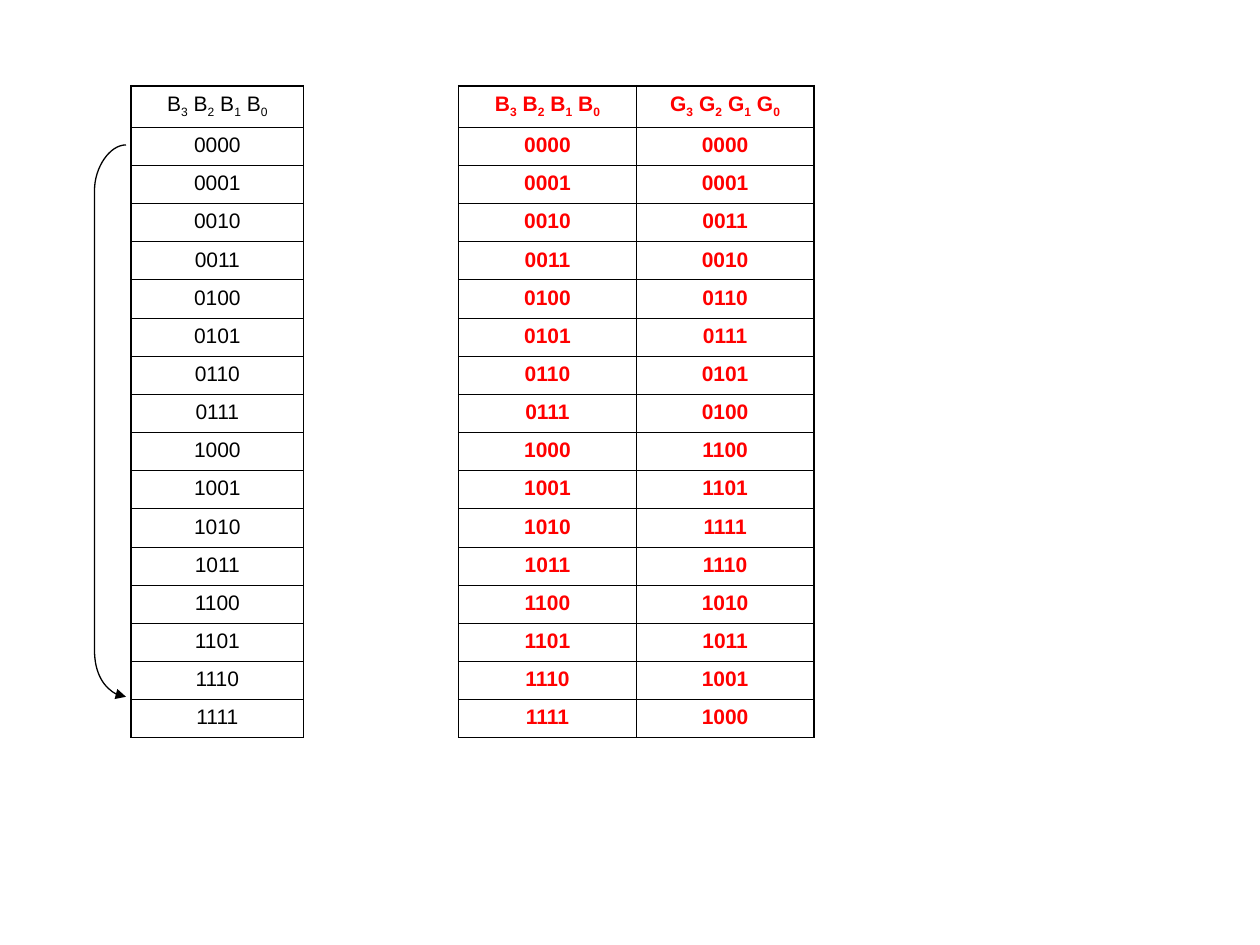
"""Build a slide with a binary table, a binary to Gray code table and a loop arrow."""
from dataclasses import dataclass

from lxml import etree
from pptx import Presentation
from pptx.dml.color import RGBColor
from pptx.enum.text import PP_ALIGN
from pptx.oxml.ns import qn
from pptx.util import Inches, Pt

CENTER = PP_ALIGN.CENTER
BINARY = [f"{number:04b}" for number in range(16)]
GRAY = [f"{number ^ number >> 1:04b}" for number in range(16)]


@dataclass(frozen=True)
class Theme:
    font: str = "Arial"
    size: float = 12
    space_before: float = 3
    black: str = "000000"
    red: str = "FF0000"
    thick: float = 1.08
    thin: float = 0.45
    arrow: float = 0.75


THEME = Theme()
TABLES = [
    {"left": 1.04, "column_width": 1.37, "columns": [("B", BINARY)],
     "color": THEME.black, "bold": False, "right_edge": THEME.thin},
    {"left": 3.64, "column_width": 1.41, "columns": [("B", BINARY), ("G", GRAY)],
     "color": THEME.red, "bold": True, "right_edge": THEME.thick},
]
TOP, HEIGHT, HEADER_HEIGHT = 0.68, 5.18, 0.33
ARROW_START = (1, 1.15)
ARROW_POINTS = [(0.87, 1.15), (0.75, 1.33), (0.75, 1.51), (0.75, 5.16),
                (0.75, 5.35), (0.87, 5.53), (1, 5.53)]
ARROW_CURVES = (0, 4)


def header_parts(letter):
    """Return (text, is_subscript) pairs for bits 3 to 0."""
    parts = []
    for bit in (3, 2, 1, 0):
        parts += [(letter if bit == 3 else f" {letter}", False), (str(bit), True)]
    return parts


def write_text(paragraph, parts, *, color, bold):
    """Write centred runs into a paragraph."""
    paragraph.alignment = CENTER
    paragraph.space_before = Pt(THEME.space_before)
    for text, subscript in parts:
        run = paragraph.add_run()
        run.text = text
        run.font.name = THEME.font
        run.font.size = Pt(THEME.size)
        run.font.bold = bold
        run.font.color.rgb = RGBColor.from_string(color)
        if subscript:
            run._r.get_or_add_rPr().set("baseline", "-25000")


def set_borders(cell, widths):
    """Draw the four cell edges, given as widths by side."""
    properties = cell._tc.get_or_add_tcPr()
    for side in "LRTB":
        line = etree.SubElement(properties, qn(f"a:ln{side}"), w=str(int(Pt(widths[side]))))
        fill = etree.SubElement(line, qn("a:solidFill"))
        etree.SubElement(fill, qn("a:srgbClr"), val=THEME.black)


def add_code_table(slide, left, column_width, columns, color, bold, right_edge):
    """Add one table of code columns under subscripted headers."""
    row_count, column_count = len(BINARY) + 1, len(columns)
    table = slide.shapes.add_table(
        row_count, column_count, Inches(left), Inches(TOP),
        Inches(column_width * column_count), Inches(HEIGHT)).table
    table.first_row = table.horz_banding = False
    row_height = (HEIGHT - HEADER_HEIGHT) / len(BINARY)
    for index, row in enumerate(table.rows):
        row.height = Inches(row_height if index else HEADER_HEIGHT)
    for column_index, (letter, codes) in enumerate(columns):
        table.columns[column_index].width = Inches(column_width)
        contents = [header_parts(letter)] + [[(code, False)] for code in codes]
        for row_index, parts in enumerate(contents):
            cell = table.cell(row_index, column_index)
            write_text(cell.text_frame.paragraphs[0], parts, color=color, bold=bold)
            set_borders(cell, {
                "L": THEME.thin if column_index else THEME.thick,
                "R": right_edge if column_index == column_count - 1 else THEME.thin,
                "T": THEME.thin if row_index else THEME.thick,
                "B": THEME.thick if row_index == row_count - 1 else THEME.thin,
            })
            cell.fill.background()


def add_loop_arrow(slide):
    """Add the rounded arrow from the first code to the last."""
    builder = slide.shapes.build_freeform(*map(Inches, ARROW_START))
    builder.add_line_segments(
        [(Inches(x), Inches(y)) for x, y in ARROW_POINTS], close=False)
    shape = builder.convert_to_shape()
    shape.shadow.inherit = False
    shape.fill.background()
    shape.line.width = Pt(THEME.arrow)
    shape.line.color.rgb = RGBColor.from_string(THEME.black)
    segments = list(shape._element.iter(qn("a:lnTo")))
    for start in ARROW_CURVES:
        first, *others = segments[start:start + 3]
        first.tag = qn("a:cubicBezTo")
        for segment in others:
            first.append(segment[0])
            segment.getparent().remove(segment)
    etree.SubElement(shape.line._get_or_add_ln(), qn("a:tailEnd"), type="triangle")


def main():
    presentation = Presentation()
    presentation.slide_width, presentation.slide_height = Inches(10), Inches(7.5)
    slide = presentation.slides.add_slide(presentation.slide_layouts[6])
    for table in TABLES:
        add_code_table(slide, **table)
    add_loop_arrow(slide)
    presentation.save("out.pptx")


if __name__ == "__main__":
    main()
